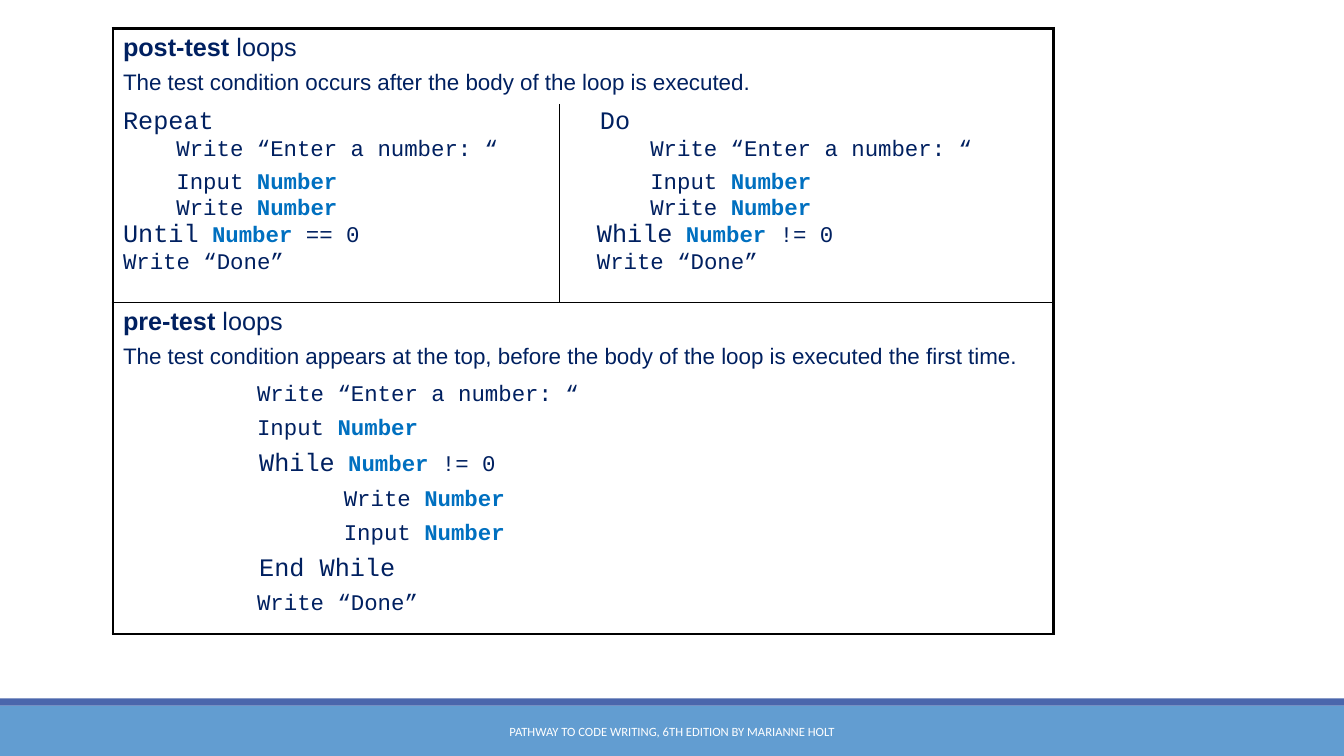
import pptx
import pptx.util
import pptx.dml.color
import pptx.enum.shapes
import pptx.enum.text
import pptx.oxml.ns
from lxml import etree

Inches, Pt = pptx.util.Inches, pptx.util.Pt

# Content: each line is (indent in inches, space after in points, big lead, rest)
VAR = "Number"
ASK = "Write “Enter a number: “"
DONE = "Write “Done”"
PUT, GET = "Write Number", "Input Number"


def post_loop(start, end, first, edge, inner):
    return [
        (first, 0, start, ""),
        (inner, 6, "", ASK),
        (inner, 0, "", GET),
        (inner, 0, "", PUT),
        (edge, 0, *end),
        (edge, 6, "", DONE),
    ]


PRE_LOOP = [
    (1.33, 6, "", ASK),
    (1.33, 6, "", GET),
    (1.35, 6, "While", " Number != 0"),
    (2.19, 6, "", PUT),
    (2.19, 6, "", GET),
    (1.35, 6, "End While", ""),
    (1.33, 6, "", DONE),
]
HEADS = {
    0: ("post-test", "The test condition occurs after the body of the loop is executed."),
    2: ("pre-test", "The test condition appears at the top, before the body of "
                    "the loop is executed the first time."),
}
CODE = {
    (1, 0): post_loop("Repeat", ("Until", " Number == 0"), 0, 0, 0.53),
    (1, 1): post_loop("Do", ("While", " Number != 0"), 0.3, 0.27, 0.8),
    (3, 0): PRE_LOOP,
}
FOOT = "PATHWAY TO CODE WRITING, 6TH EDITION BY MARIANNE HOLT"
COLS = (4.43, 4.9)
ROWS = (0.75, 1.97, 0.75, 2.54)


class Theme:
    ink, var, line = "002060", "0070C0", "000000"
    band, strip, light = "629DD1", "4A66AC", "FFFFFF"
    prose, code, foot = "Arial", "Courier New", "Calibri"
    big, body, small = 18, 16, 9
    thick, thin = 2.25, 1


def tint(color):
    return pptx.dml.color.RGBColor.from_string(color)


def add_run(para, text, size, color=Theme.ink, bold=False):
    run = para.add_run()
    run.text = text
    run.font.size, run.font.bold = Pt(size), bold
    run.font.color.rgb = tint(color)


def next_para(frame, first, face, after):
    para = frame.paragraphs[0] if first else frame.add_paragraph()
    para.font.name, para.space_after = face, Pt(after)
    return para


def write_head(frame, kind, note):
    para = next_para(frame, True, Theme.prose, 6)
    add_run(para, kind, Theme.big, bold=True)
    add_run(para, " loops", Theme.big)
    add_run(next_para(frame, False, Theme.prose, 6), note, Theme.body)


def write_code(frame, lines):
    for i, (indent, after, lead, rest) in enumerate(lines):
        para = next_para(frame, i == 0, Theme.code, after)
        props = para._p.get_or_add_pPr()
        props.set("marL", str(Inches(indent)))
        props.set("indent", "0")
        if lead:
            add_run(para, lead, Theme.big)
        before, var, tail = rest.partition(VAR)
        if before:
            add_run(para, before, Theme.body)
        if var:
            add_run(para, var, Theme.body, Theme.var, True)
        if tail:
            add_run(para, tail, Theme.body)


def set_edge(cell, side, width):
    tag = pptx.oxml.ns.qn
    line = etree.SubElement(cell._tc.get_or_add_tcPr(), tag("a:ln" + side))
    line.set("w", str(Pt(width)))
    if width:
        fill = etree.SubElement(line, tag("a:solidFill"))
        etree.SubElement(fill, tag("a:srgbClr")).set("val", Theme.line)
    else:
        etree.SubElement(line, tag("a:noFill"))


deck = pptx.Presentation()
deck.slide_width, deck.slide_height = Inches(13.33), Inches(7.5)
slide = deck.slides.add_slide(deck.slide_layouts[6])

# Footer bands and text
for top, high, color in ((7, 0.5, Theme.band), (6.93, 0.07, Theme.strip)):
    bar = slide.shapes.add_shape(
        pptx.enum.shapes.MSO_SHAPE.RECTANGLE,
        0, Inches(top), deck.slide_width, Inches(high))
    bar.shadow.inherit = False
    bar.fill.solid()
    bar.fill.fore_color.rgb = tint(color)
    bar.line.fill.background()

foot = slide.shapes.add_textbox(Inches(4.03), Inches(7.06), Inches(5.27), Inches(0.4))
frame = foot.text_frame
frame.word_wrap = True
frame.vertical_anchor = pptx.enum.text.MSO_ANCHOR.MIDDLE
para = frame.paragraphs[0]
para.text = FOOT
para.alignment = pptx.enum.text.PP_ALIGN.CENTER
para.font.name, para.font.size = Theme.foot, Pt(Theme.small)
para.font.color.rgb = tint(Theme.light)

# Loop table
table = slide.shapes.add_table(
    len(ROWS), len(COLS), Inches(1.12), Inches(0.28),
    Inches(sum(COLS)), Inches(sum(ROWS))).table
table.first_row = table.horz_banding = False
for col, wide in zip(table.columns, COLS):
    col.width = Inches(wide)
for row, high in zip(table.rows, ROWS):
    row.height = Inches(high)
last = len(ROWS) - 1
for r in range(len(ROWS)):
    if (r, 1) not in CODE:
        table.cell(r, 0).merge(table.cell(r, 1))

# Cell text and borders: thick frame, thin rules around the post-test code
for r in range(len(ROWS)):
    for c in range(len(COLS)):
        cell = table.cell(r, c)
        if cell.is_spanned:
            continue
        if r in HEADS:
            write_head(cell.text_frame, *HEADS[r])
        else:
            write_code(cell.text_frame, CODE[r, c])
        split = not cell.is_merge_origin
        set_edge(cell, "L", Theme.thin if c else Theme.thick)
        set_edge(cell, "R", Theme.thin if split and c == 0 else Theme.thick)
        set_edge(cell, "T", {0: Theme.thick, 2: Theme.thin}.get(r, 0))
        set_edge(cell, "B", {1: Theme.thin, last: Theme.thick}.get(r, 0))
        cell.fill.background()

deck.save("out.pptx")
